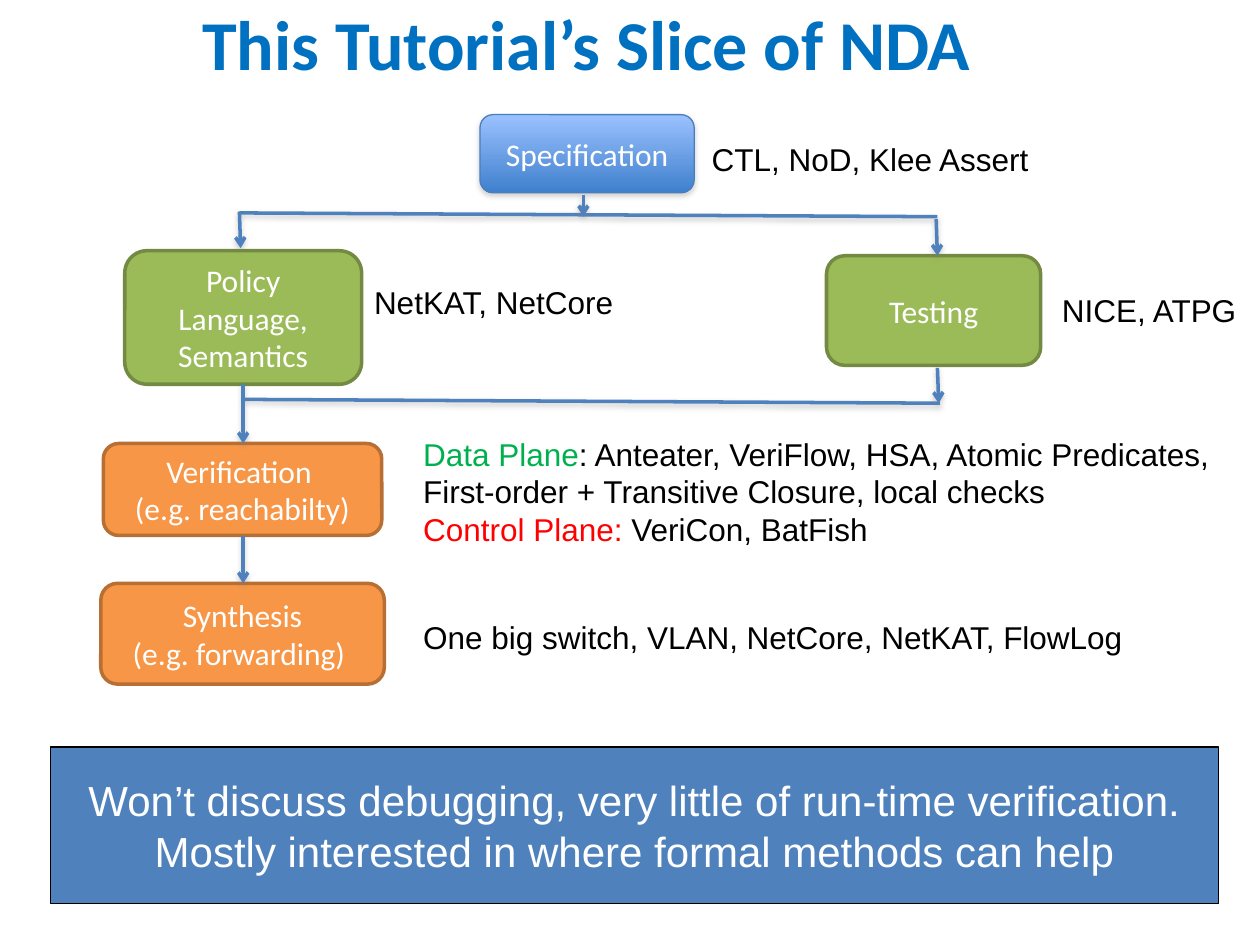
from lxml.etree import SubElement
from pptx import Presentation
from pptx.dml.color import RGBColor
from pptx.enum.shapes import MSO_CONNECTOR as Connector, MSO_SHAPE as Shape
from pptx.enum.text import MSO_ANCHOR as Anchor, PP_ALIGN as Align
from pptx.oxml.ns import qn
from pptx.util import Inches, Pt

WIDTH, HEIGHT = 10, 7.5
BLUE, GREEN, ORANGE = "4F81BD", "9BBB59", "F79646"
GREEN_EDGE, ORANGE_EDGE = "738A42", "B76F34"
WHITE, BLACK = "FFFFFF", "000000"

TITLE = ("This Tutorial’s Slice of NDA", (0.24, -0.29, 8.83, 1.25))
STAGES = [
    (["Specification"], (3.81, 0.91, 1.7, 0.62), None, "4A7EBB", 0.75),
    (["Policy Language, Semantics"], (0.99, 1.99, 1.88, 1.06), GREEN, GREEN_EDGE, 2),
    (["Testing"], (6.56, 2.03, 1.7, 0.87), GREEN, GREEN_EDGE, 2),
    (["Verification ", "(e.g. reachabilty)"], (0.82, 3.52, 2.21, 0.73), ORANGE, ORANGE_EDGE, 2),
    (["Synthesis", "(e.g. forwarding) "], (0.8, 4.63, 2.25, 0.8), ORANGE, ORANGE_EDGE, 2),
]
SUMMARY = (
    ["Won’t discuss debugging, very little of run-time verification.",
     "Mostly interested in where formal methods can help"],
    (0.4, 5.93, 9.27, 1.24),
)
EXAMPLES = [
    ([[("CTL, NoD, Klee Assert", BLACK)]], (5.55, 1.06, 2.74, 0.4)),
    ([[("NetKAT, NetCore", BLACK)]], (2.87, 2.2, 2.12, 0.4)),
    ([[("Data Plane", "00B050"), (": Anteater, VeriFlow, HSA, Atomic Predicates,", BLACK)],
      [("First-order + Transitive Closure, local checks", BLACK)],
      [("Control Plane: ", "FF0000"), ("VeriCon, BatFish", BLACK)]], (3.26, 3.4, 6.57, 1.01)),
    ([[("One big switch, VLAN, NetCore, NetKAT, FlowLog", BLACK)]], (3.26, 4.86, 5.88, 0.4)),
    ([[("NICE, ATPG", BLACK)]], (8.33, 2.26, 1.67, 0.4)),
]
BARS = [(1.9, 1.69, 7.44, 1.72), (1.93, 3.17, 7.46, 3.2)]
ARROWS = [
    (7.43, 1.74, 7.44, 2.03),
    (4.63, 1.55, 4.63, 1.72),
    (1.9, 1.68, 1.91, 1.97),
    (1.93, 3.05, 1.93, 3.52),
    (7.44, 2.92, 7.45, 3.2),
    (1.93, 4.25, 1.93, 4.63),
]


def color(value):
    return RGBColor.from_string(value)


def inches(values):
    return [Inches(value) for value in values]


def plain(lines, text_color):
    return [[(line, text_color)] for line in lines]


def write(shape, paragraphs, font, size, align=Align.LEFT, anchor=Anchor.TOP, wrap=True, bold=False):
    frame = shape.text_frame
    frame.word_wrap = wrap
    frame.vertical_anchor = anchor
    for index, runs in enumerate(paragraphs):
        paragraph = frame.add_paragraph() if index else frame.paragraphs[0]
        paragraph.alignment = align
        for text, text_color in runs:
            run = paragraph.add_run()
            run.text = text
            run.font.name = font
            run.font.size = Pt(size)
            run.font.bold = bold
            run.font.color.rgb = color(text_color)


def add_shadow(effects, opacity, distance):
    shadow = SubElement(effects, qn("a:outerShdw"), blurRad=str(Pt(3.1)), dist=str(Pt(distance)),
                        dir="5400000", rotWithShape="0")
    tint = SubElement(shadow, qn("a:srgbClr"), val="808080")
    SubElement(tint, qn("a:alpha"), val=str(opacity * 1000))


def add_box(slide, kind, place, fill, edge, edge_width):
    shape = slide.shapes.add_shape(kind, *inches(place))
    shape.shadow.inherit = False
    if fill:
        shape.fill.solid()
        shape.fill.fore_color.rgb = color(fill)
    else:
        shape.fill.gradient()
        shape.fill.gradient_angle = 270
        for stop, position, value in zip(shape.fill.gradient_stops, (0, 1), ("9BC1FF", "3F80CD")):
            stop.position = position
            stop.color.rgb = color(value)
        add_shadow(shape._element.spPr.find(qn("a:effectLst")), 35, 1.8)
    shape.line.color.rgb = color(edge)
    shape.line.width = Pt(edge_width)
    return shape


def add_line(slide, ends, arrow):
    connector = slide.shapes.add_connector(Connector.STRAIGHT, *inches(ends))
    connector.line.color.rgb = color(BLUE)
    connector.line.width = Pt(2)
    properties = connector._element.spPr
    if arrow:
        SubElement(properties.find(qn("a:ln")), qn("a:tailEnd"), type="arrow")
    add_shadow(SubElement(properties, qn("a:effectLst")), 38, 1.6)


def main():
    presentation = Presentation()
    presentation.slide_width, presentation.slide_height = Inches(WIDTH), Inches(HEIGHT)
    slide = presentation.slides.add_slide(presentation.slide_layouts[6])

    for lines, place, fill, edge, edge_width in STAGES:
        stage = add_box(slide, Shape.ROUNDED_RECTANGLE, place, fill, edge, edge_width)
        write(stage, plain(lines, WHITE), "Calibri", 18, Align.CENTER, Anchor.MIDDLE)

    text, place = TITLE
    title = slide.shapes.add_textbox(*inches(place))
    write(title, plain([text], "0070C0"), "Calibri", 40, Align.CENTER, Anchor.MIDDLE, bold=True)

    lines, place = SUMMARY
    summary = add_box(slide, Shape.RECTANGLE, place, BLUE, BLACK, 0.75)
    write(summary, plain(lines, WHITE), "Arial", 24, Align.CENTER, Anchor.MIDDLE, wrap=False)

    for paragraphs, place in EXAMPLES:
        example = slide.shapes.add_textbox(*inches(place))
        write(example, paragraphs, "Arial", 18, wrap=False)

    for ends in BARS:
        add_line(slide, ends, arrow=False)
    for ends in ARROWS:
        add_line(slide, ends, arrow=True)

    presentation.save("out.pptx")


if __name__ == "__main__":
    main()
